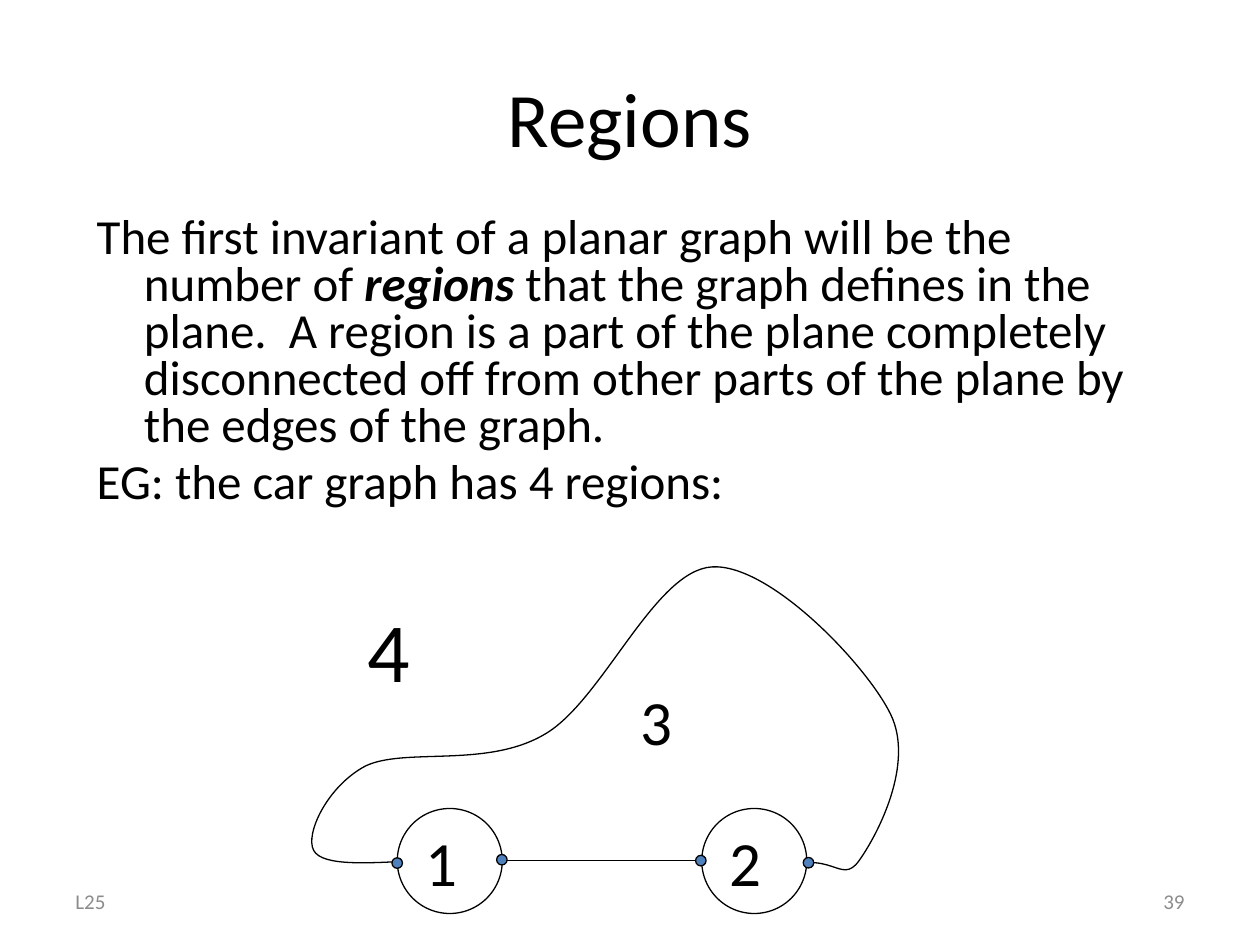
from lxml.etree import SubElement
from pptx import Presentation
from pptx.dml.color import RGBColor
from pptx.enum.shapes import MSO_CONNECTOR as Connector, MSO_SHAPE as Shape
from pptx.enum.text import MSO_ANCHOR as Anchor, PP_ALIGN as Align
from pptx.oxml.ns import qn
from pptx.util import Pt

COLORS = {"ink": "000000", "paper": "FFFFFF", "vertex": "4F81BD", "footer": "8C8C8C"}

CAR_START = (239, 491.8)
CAR_CURVES = [
    ((211.7, 493.2), (184.3, 495.4), (179.3, 486)),
    ((174.2, 476.6), (187.2, 449.3), (208.8, 437.8)),
    ((231.1, 427), (277.9, 439.2), (311, 419.8)),
    ((344.2, 401), (373.7, 326.2), (406.8, 324)),
    ((439.9, 321.8), (495.4, 380.2), (509, 408.2)),
    ((522.7, 436.3), (501.8, 476.6), (491, 491.8)),
    ((480.2, 506.9), (475.2, 483.1), (442.8, 498.2)),
]


class SlideWriter:
    font_name = "Calibri"
    line_width = Pt(0.75)

    def __init__(self, slide):
        self.slide = slide
        self.shapes = slide.shapes

    def color(self, name):
        return RGBColor.from_string(COLORS[name])

    def style_text(self, para, size, color="ink", align=Align.LEFT):
        para.alignment = align
        para.font.name = self.font_name
        para.font.size = Pt(size)
        para.font.color.rgb = self.color(color)

    def outline(self, line):
        line.color.rgb = self.color("ink")
        line.width = self.line_width

    def title(self, text, left, top, width, height, size):
        box = self.shapes.title
        box.left, box.top, box.width, box.height = map(Pt, (left, top, width, height))
        box.text_frame.text = text
        box.text_frame.vertical_anchor = Anchor.MIDDLE
        self.style_text(box.text_frame.paragraphs[0], size, align=Align.CENTER)

    def text_box(self, left, top, width, height, wrap=True, anchor=Anchor.TOP):
        frame = self.shapes.add_textbox(*map(Pt, (left, top, width, height))).text_frame
        frame.word_wrap = wrap
        frame.vertical_anchor = anchor
        return frame

    def label(self, text, area, size, color="ink", align=Align.LEFT,
              wrap=False, anchor=Anchor.TOP):
        frame = self.text_box(*area, wrap=wrap, anchor=anchor)
        frame.text = text
        self.style_text(frame.paragraphs[0], size, color, align)

    def body(self, paragraphs, area, size, hang):
        frame = self.text_box(*area)
        for index, spans in enumerate(paragraphs):
            para = frame.add_paragraph() if index else frame.paragraphs[0]
            properties = para._p.get_or_add_pPr()
            properties.set("marL", str(Pt(hang)))
            properties.set("indent", str(-Pt(hang)))
            para.line_spacing = 0.8
            para.space_before = Pt(0.2 * size if index else 0)
            self.style_text(para, size)
            for text, emphasis in spans:
                span = para.add_run()
                span.text = text
                if emphasis:
                    span.font.bold = span.font.italic = True

    def curve(self, start, curves):
        builder = self.shapes.build_freeform(*map(Pt, start))
        controls = [tuple(map(Pt, point)) for curve in curves for point in curve]
        builder.add_line_segments(controls, close=False)
        shape = builder.convert_to_shape()
        segments = list(shape._element.iter(qn("a:lnTo")))
        outline = segments[0].getparent()
        for first in range(0, len(segments), 3):
            bezier = SubElement(outline, qn("a:cubicBezTo"))
            for segment in segments[first:first + 3]:
                bezier.append(segment[0])
                outline.remove(segment)
        shape.shadow.inherit = False
        shape.fill.background()
        self.outline(shape.line)

    def edge(self, start, end):
        edge = self.shapes.add_connector(Connector.STRAIGHT, *map(Pt, start + end))
        self.outline(edge.line)
        SubElement(edge._element.spPr, qn("a:effectLst"))

    def circle(self, center, diameter, fill, text=None, size=36):
        left, top = (value - diameter / 2 for value in center)
        circle = self.shapes.add_shape(Shape.OVAL, *map(Pt, (left, top, diameter, diameter)))
        circle.shadow.inherit = False
        circle.fill.solid()
        circle.fill.fore_color.rgb = self.color(fill)
        self.outline(circle.line)
        if text:
            frame = circle.text_frame
            frame.text = text
            frame.word_wrap = False
            frame.vertical_anchor = Anchor.MIDDLE
            self.style_text(frame.paragraphs[0], size)


def main():
    deck = Presentation()
    deck.slide_width, deck.slide_height = Pt(720), Pt(540)
    page = SlideWriter(deck.slides.add_slide(deck.slide_layouts[5]))

    for text, left, align in (("L25", 36, Align.LEFT), ("39", 516, Align.RIGHT)):
        page.label(text, (left, 500.5, 168, 28.75), 12, "footer", align, True, Anchor.MIDDLE)

    page.title("Regions", 36, 21.6, 648, 90, 44)
    page.body([
        [("The first invariant of a planar graph will be the number of ", False),
         ("regions", True),
         (" that the graph defines in the plane.  A region is a part of the plane "
          "completely disconnected off from other parts of the plane by the edges "
          "of the graph.", False)],
        [("EG: the car graph has 4 regions:", False)],
    ], (48.2, 120.3, 612, 186), 28, 27)

    page.curve(CAR_START, CAR_CURVES)
    page.edge((275, 491.8), (407, 491.8))
    for text, center_x in (("2", 431), ("1", 257)):
        page.circle((center_x, 492), 60, "paper", text)
    for center in ((400.5, 491.8), (286.8, 491.3), (462, 493), (227, 493.2)):
        page.circle(center, 6, "vertex")

    page.label("3", (359, 386.5, 34, 50.5), 36)
    page.label("4", (203, 338.5, 41, 65), 48)

    deck.save("out.pptx")


if __name__ == "__main__":
    main()
